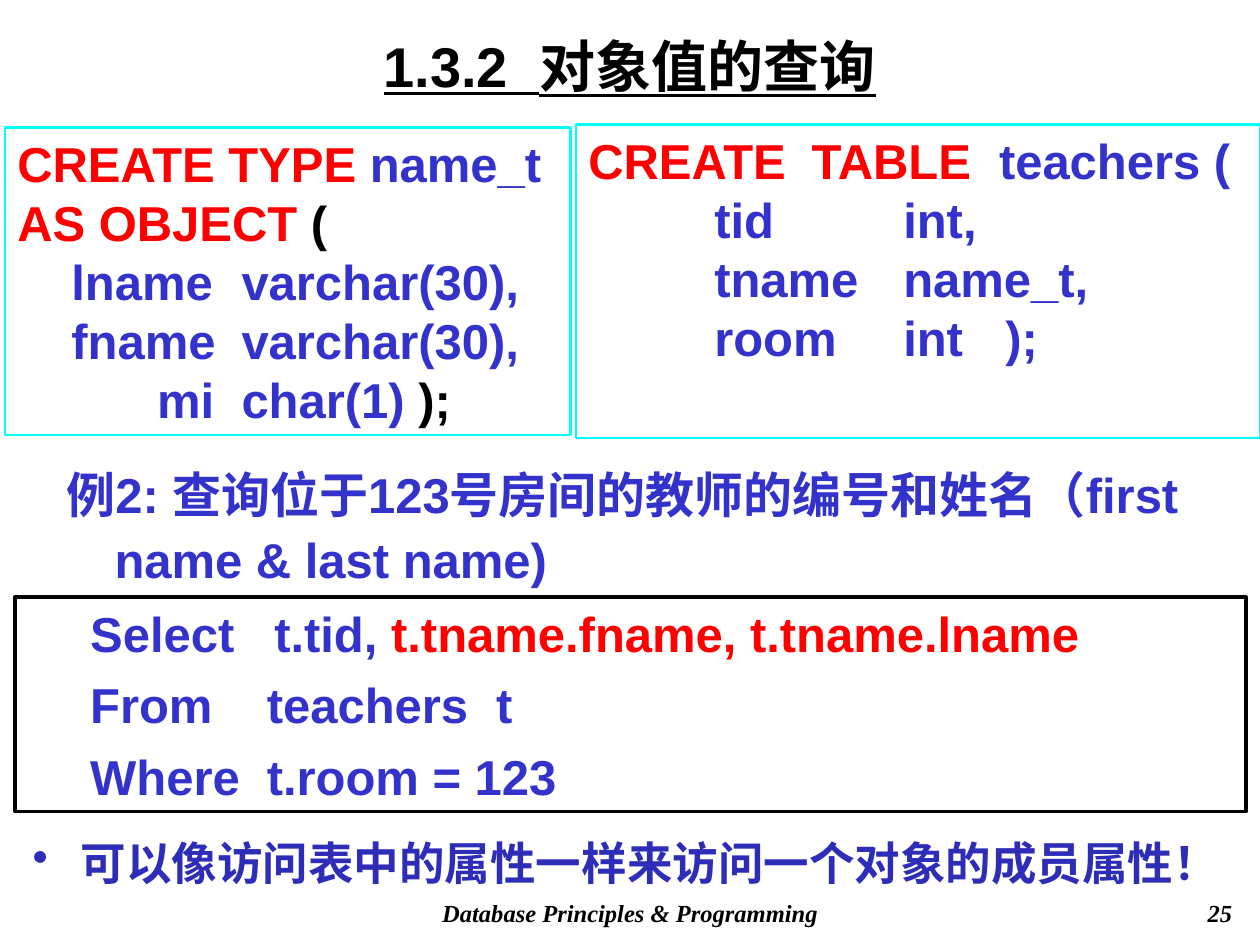
"""Build a lecture slide on querying object values in SQL."""
from dataclasses import dataclass

from lxml.etree import SubElement
from pptx import Presentation
from pptx.dml.color import RGBColor
from pptx.enum.shapes import MSO_SHAPE
from pptx.enum.text import MSO_ANCHOR as Anchor, PP_ALIGN as Align
from pptx.oxml.ns import qn
from pptx.util import Cm, Pt

BLACK, BLUE, RED, NAVY = "000000", "3333CC", "FF0000", "2D2DB7"
WHITE, CYAN = "FFFFFF", "00FFFF"
SERIF = "Times New Roman"


@dataclass(frozen=True)
class Area:
    left: float
    top: float
    width: float
    height: float

    def lengths(self) -> list:
        return [Cm(value) for value in (self.left, self.top, self.width, self.height)]


@dataclass(frozen=True)
class Line:
    spans: tuple[tuple[str, str], ...]
    tabs: tuple[float, ...] = ()


@dataclass(frozen=True)
class CodeBox:
    area: Area
    outline: str
    outline_width: float
    lines: tuple[Line, ...]
    space_before: float = 0


def color(value: str) -> RGBColor:
    return RGBColor.from_string(value)


def write(paragraph, text: str, *, size=28, font="Arial", fill=BLUE,
          italic=False, underline=False) -> None:
    run = paragraph.add_run()
    run.text = text
    run.font.name = font
    run.font.size = Pt(size)
    run.font.color.rgb = color(fill)
    run.font.bold = True
    run.font.italic = italic
    run.font.underline = underline


def set_hanging(paragraph, indent: float) -> None:
    properties = paragraph._p.get_or_add_pPr()
    properties.set("marL", str(Cm(indent)))
    properties.set("indent", str(-Cm(indent)))


def add_bullet(paragraph, fill: str) -> None:
    properties = paragraph._p.get_or_add_pPr()
    SubElement(SubElement(properties, qn("a:buClr")), qn("a:srgbClr"), val=fill)
    SubElement(properties, qn("a:buChar"), char="•")


def add_tabs(paragraph, stops: tuple[float, ...]) -> None:
    tab_list = SubElement(paragraph._p.get_or_add_pPr(), qn("a:tabLst"))
    for stop in stops:
        SubElement(tab_list, qn("a:tab"), pos=str(Cm(stop)), algn="l")


def add_text(slide, area: Area, text: str, *, align=Align.LEFT, anchor=Anchor.TOP,
             hanging=0.0, bullet="", spacing=1.0, **text_format) -> None:
    frame = slide.shapes.add_textbox(*area.lengths()).text_frame
    frame.word_wrap = True
    frame.vertical_anchor = anchor
    paragraph = frame.paragraphs[0]
    if hanging:
        set_hanging(paragraph, hanging)
    if bullet:
        add_bullet(paragraph, bullet)
    paragraph.alignment = align
    paragraph.line_spacing = spacing
    write(paragraph, text, **text_format)


def add_code(slide, box: CodeBox) -> None:
    shape = slide.shapes.add_shape(MSO_SHAPE.RECTANGLE, *box.area.lengths())
    shape.shadow.inherit = False
    shape.fill.solid()
    shape.fill.fore_color.rgb = color(WHITE)
    shape.line.color.rgb = color(box.outline)
    shape.line.width = Pt(box.outline_width)
    frame = shape.text_frame
    frame.word_wrap = True
    frame.vertical_anchor = Anchor.TOP
    for index, line in enumerate(box.lines):
        paragraph = frame.add_paragraph() if index else frame.paragraphs[0]
        if line.tabs:
            add_tabs(paragraph, line.tabs)
        paragraph.alignment = Align.LEFT
        paragraph.line_spacing = Pt(33.7)
        if index and box.space_before:
            paragraph.space_before = Pt(box.space_before)
        for text, fill in line.spans:
            write(paragraph, text, fill=fill)


FIELD_TABS = (1.09, 4.52)
COLUMN_TABS = (2.54, 6.35, 8.41)
CLAUSE_TABS = (1.27, 4.83, 9.45)

CODE_BOXES = (
    CodeBox(Area(0.3, 12.04, 24.82, 4.32), BLACK, 2, (
        Line((("\tSelect\tt.tid, ", BLUE), ("t.tname.fname, t.tname.lname", RED)),
             (1.27, 4.98)),
        Line((("\tFrom\tteachers\tt", BLUE),), CLAUSE_TABS),
        Line((("\tWhere\tt.room = 123", BLUE),), CLAUSE_TABS),
    ), space_before=7),
    CodeBox(Area(0.1, 2.57, 11.4, 6.2), CYAN, 1.5, (
        Line((("CREATE TYPE ", RED), ("name_t", BLUE))),
        Line((("AS OBJECT ", RED), ("(", BLACK))),
        Line((("\tlname\tvarchar(30),", BLUE),), FIELD_TABS),
        Line((("\tfname\tvarchar(30),", BLUE),), FIELD_TABS),
        Line((("\tmi\tchar(1) ", BLUE), (");", BLACK)), (2.82, 4.52)),
    )),
    CodeBox(Area(11.61, 2.51, 13.79, 6.32), CYAN, 1.5, (
        Line((("CREATE\tTABLE", RED), ("\tteachers (", BLUE)), (4.5, 8.28)),
        Line((("\ttid\tint,", BLUE),), COLUMN_TABS),
        Line((("\ttname\tname_t,", BLUE),), COLUMN_TABS),
        Line((("\troom\tint\t);", BLUE),), COLUMN_TABS),
    )),
)


def main() -> None:
    presentation = Presentation()
    presentation.slide_width, presentation.slide_height = Cm(25.4), Cm(19.05)
    slide = presentation.slides.add_slide(presentation.slide_layouts[6])

    footer = {"size": 14, "font": SERIF, "fill": BLACK, "italic": True}
    add_text(slide, Area(6.99, 17.98, 11.43, 0.84),
             "Database Principles & Programming", align=Align.CENTER, **footer)
    add_text(slide, Area(19.81, 17.98, 5.28, 0.84), "25", align=Align.RIGHT, **footer)
    add_text(slide, Area(1.9, 0.46, 21.59, 1.7), "1.3.2  对象值的查询",
             align=Align.CENTER, anchor=Anchor.MIDDLE, size=32, fill=BLACK,
             underline=True)
    add_text(slide, Area(1.09, 9.12, 23.67, 2.87),
             "例2: 查询位于123号房间的教师的编号和姓名（first name & last name)",
             hanging=0.97, spacing=1.1)
    for box in CODE_BOXES:
        add_code(slide, box)
    add_text(slide, Area(0.41, 16.71, 24.69, 1.37),
             "可以像访问表中的属性一样来访问一个对象的成员属性！",
             hanging=0.97, bullet=NAVY, size=26, font=SERIF, fill=NAVY)

    presentation.save("out.pptx")


if __name__ == "__main__":
    main()
